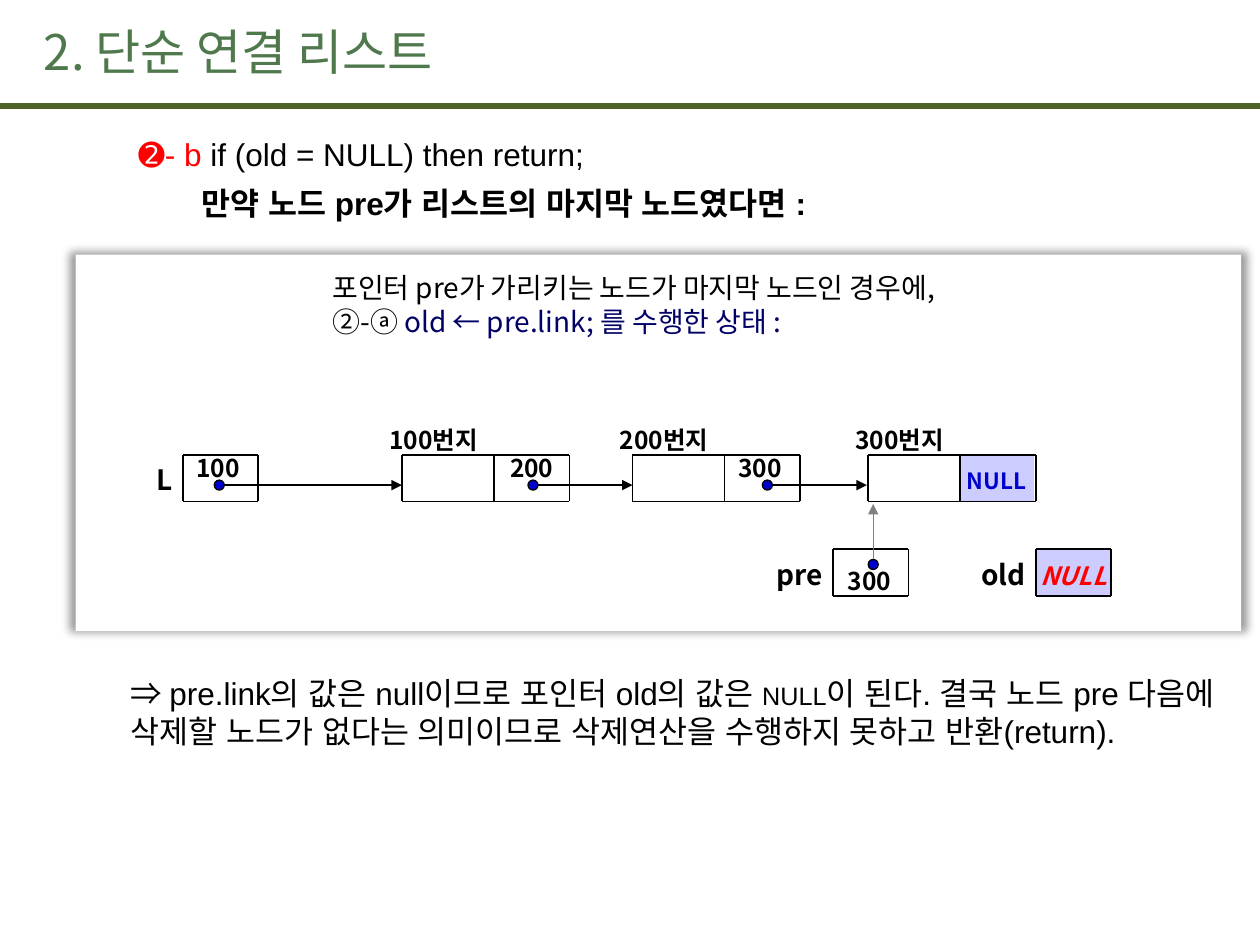
from lxml.etree import SubElement
from pptx import Presentation
from pptx.dml.color import RGBColor
from pptx.enum.shapes import MSO_CONNECTOR as Connector, MSO_SHAPE as Shape
from pptx.enum.text import MSO_ANCHOR as Anchor, PP_ALIGN as Align
from pptx.oxml.ns import qn
from pptx.util import Inches, Pt

COLORS = {
    "black": "000000", "white": "FFFFFF", "rule": "4F6228", "title": "4F784C",
    "red": "FF0000", "blue": "0000CC", "navy": "000066", "null": "CCCCFF",
    "gray": "808080",
}
KOREAN, LATIN = "Noto Sans CJK KR", "Arial"
CELL_HEIGHT, LINK_WIDTH, NODE_WIDTH, DATA_WIDTH = 0.37, 0.6, 1.33, 0.73
NODE_TOP, POINTER_TOP = 3.61, 4.36
DOT = 0.08


def color(name):
    return RGBColor.from_string(COLORS[name])


def add_run(paragraph, text, size=18, font=KOREAN, ink="black", bold=False,
            italic=False, small_caps=False):
    run = paragraph.add_run()
    run.text = text
    run.font.size, run.font.name = Pt(size), font
    run.font.bold, run.font.italic = bold, italic
    run.font.color.rgb = color(ink)
    properties = run._r.get_or_add_rPr()
    if small_caps:
        properties.set("cap", "small")
    SubElement(properties, qn("a:ea")).set("typeface", font)


class ListSlide:
    """Draws linked-list diagrams on one slide in a shared style."""

    def __init__(self, slide):
        self.shapes = slide.shapes

    def line(self, x1, y1, x2, y2, ink="black", width=1, arrow=False):
        line = self.shapes.add_connector(
            Connector.STRAIGHT, Inches(x1), Inches(y1), Inches(x2), Inches(y2))
        line.line.color.rgb = color(ink)
        line.line.width = Pt(width)
        if arrow:
            SubElement(line.line._get_or_add_ln(), qn("a:tailEnd")).set("type", "triangle")
        SubElement(line._element.spPr, qn("a:effectLst"))

    def shape(self, kind, left, top, width, height, fill, outline=None):
        shape = self.shapes.add_shape(
            kind, Inches(left), Inches(top), Inches(width), Inches(height))
        shape.shadow.inherit = False
        shape.fill.solid()
        shape.fill.fore_color.rgb = color(fill)
        if outline:
            shape.line.color.rgb = color(outline)
            shape.line.width = Pt(0.75)
        else:
            shape.line.fill.background()
        return shape

    def panel(self, left, top, width, height):
        """White card with a soft shadow on every side."""
        card = self.shape(Shape.RECTANGLE, left, top, width, height, "white")
        effects = card._element.spPr.find(qn("a:effectLst"))
        shadow = SubElement(effects, qn("a:outerShdw"), blurRad=str(Pt(5)), dist="0",
                            dir="0", sx="101000", sy="101000", algn="ctr")
        tint = SubElement(shadow, qn("a:srgbClr"), val=COLORS["black"])
        SubElement(tint, qn("a:alpha"), val="40000")

    def text(self, left, top, width, height, paragraphs, anchor=Anchor.TOP,
             align=Align.LEFT, inset=True, before=0, after=0):
        """Each paragraph is a list of (text, format) runs."""
        frame = self.shapes.add_textbox(
            Inches(left), Inches(top), Inches(width), Inches(height)).text_frame
        frame.word_wrap = True
        frame.vertical_anchor = anchor
        if not inset:
            frame.margin_left = frame.margin_right = frame.margin_top = 0
        for number, runs in enumerate(paragraphs):
            paragraph = frame.add_paragraph() if number else frame.paragraphs[0]
            paragraph.alignment = align
            if number:
                paragraph.space_before = Pt(before)
            paragraph.space_after = Pt(after)
            for content, style in runs:
                add_run(paragraph, content, **style)
        return frame

    def value(self, left, top, content, width=0.56):
        self.text(left, top, width, 0.18, [[(content, dict(size=14, bold=True))]],
                  anchor=Anchor.MIDDLE)

    def name(self, right, top, content, width=0.52):
        self.text(right - width, top, width, 0.38, [[(content, dict(size=16, bold=True))]],
                  anchor=Anchor.MIDDLE, align=Align.RIGHT, inset=False)

    def null(self, left, top, size, ink, italic=False):
        style = dict(size=size, ink=ink, bold=True, italic=italic, small_caps=True)
        box = self.shape(Shape.RECTANGLE, left, top, 0.58, 0.36, "null", "null")
        frame = box.text_frame
        frame.word_wrap = False
        frame.vertical_anchor = Anchor.MIDDLE
        frame.paragraphs[0].alignment = Align.CENTER
        add_run(frame.paragraphs[0], "null", **style)

    def frame(self, left, top, width, divider=None):
        bottom = top + CELL_HEIGHT
        for y in (top, bottom):
            self.line(left, y, left + width, y)
        for offset in (0, divider, width):
            if offset is not None:
                self.line(left + offset, top, left + offset, bottom)

    def node(self, left, address):
        self.frame(left, NODE_TOP, NODE_WIDTH, DATA_WIDTH)
        self.value(left - 0.2, 3.4, address, width=0.96)

    def dot(self, left, top):
        self.shape(Shape.OVAL, left, top, DOT, DOT, "blue", "black")

    def link(self, left, target):
        """Pointer dot with an arrow to the next node."""
        self.line(left + DOT, 3.85, target, 3.85, width=0.75, arrow=True)
        self.dot(left, 3.81)


def main():
    deck = Presentation()
    deck.slide_width, deck.slide_height = Inches(10), Inches(7.5)
    page = ListSlide(deck.slides.add_slide(deck.slide_layouts[6]))

    page.line(0, 0.84, 10, 0.84, ink="rule", width=3.75)
    page.text(0.25, 0.09, 8.27, 0.63,
              [[("2. 단순 연결 리스트", dict(size=28, ink="title"))]], anchor=Anchor.MIDDLE)

    body = dict(font=LATIN)
    condition = page.text(1, 1.02, 8.75, 0.8, [
        [("➋- b ", dict(font=LATIN, ink="red")), ("if (old = NULL) then return;", body)],
        [("만약 노드 pre가 리스트의 마지막 노드였다면 :", dict(font=LATIN, bold=True))],
    ], before=3.6, after=3)
    condition.paragraphs[1]._p.get_or_add_pPr().set("marL", str(Inches(0.5)))
    page.text(0.94, 5.3, 8.81, 1, [[
        ("⇒ ", {}),
        ("pre.link의 값은 null이므로 포인터 old의 값은 ", body),
        ("null", dict(font=LATIN, small_caps=True)),
        ("이 된다. 결국 노드 pre 다음에 삭제할 노드가 없다는 의미이므로 "
         "삭제연산을 수행하지 못하고 반환(return).", body),
    ]])

    page.panel(0.6, 2.02, 9.25, 2.99)
    page.text(2.54, 2.1, 5.55, 0.64, [
        [("포인터 pre가 가리키는 노드가 마지막 노드인 경우에,", dict(size=16))],
        [("②-ⓐ ", dict(size=16)),
         ("old ← pre.link; 를 수행한 상태 :", dict(size=16, ink="navy"))],
    ])

    page.null(7.62, 3.62, 16, "blue")
    page.null(8.23, 4.37, 18, "red", italic=True)
    for left, address in ((3.19, "100번지"), (5.02, "200번지"), (6.89, "300번지")):
        page.node(left, address)
    for left, content in ((1.46, "100"), (3.95, "200"), (5.76, "300")):
        page.value(left, 3.62, content)
    for left, target in ((1.7, 3.19), (4.19, 5.02), (6.05, 6.88)):
        page.link(left, target)

    for left, top, label in ((1.45, NODE_TOP, "L"), (6.61, POINTER_TOP, "pre"),
                             (8.22, POINTER_TOP, "old")):
        page.frame(left, top, LINK_WIDTH)
        page.name(left - 0.08, top + 0.03, label)
    page.value(6.63, 4.52, "300")
    page.dot(6.89, 4.44)
    page.line(6.93, 4.44, 6.93, 4, ink="gray", width=0.75, arrow=True)

    deck.save("out.pptx")


if __name__ == "__main__":
    main()
